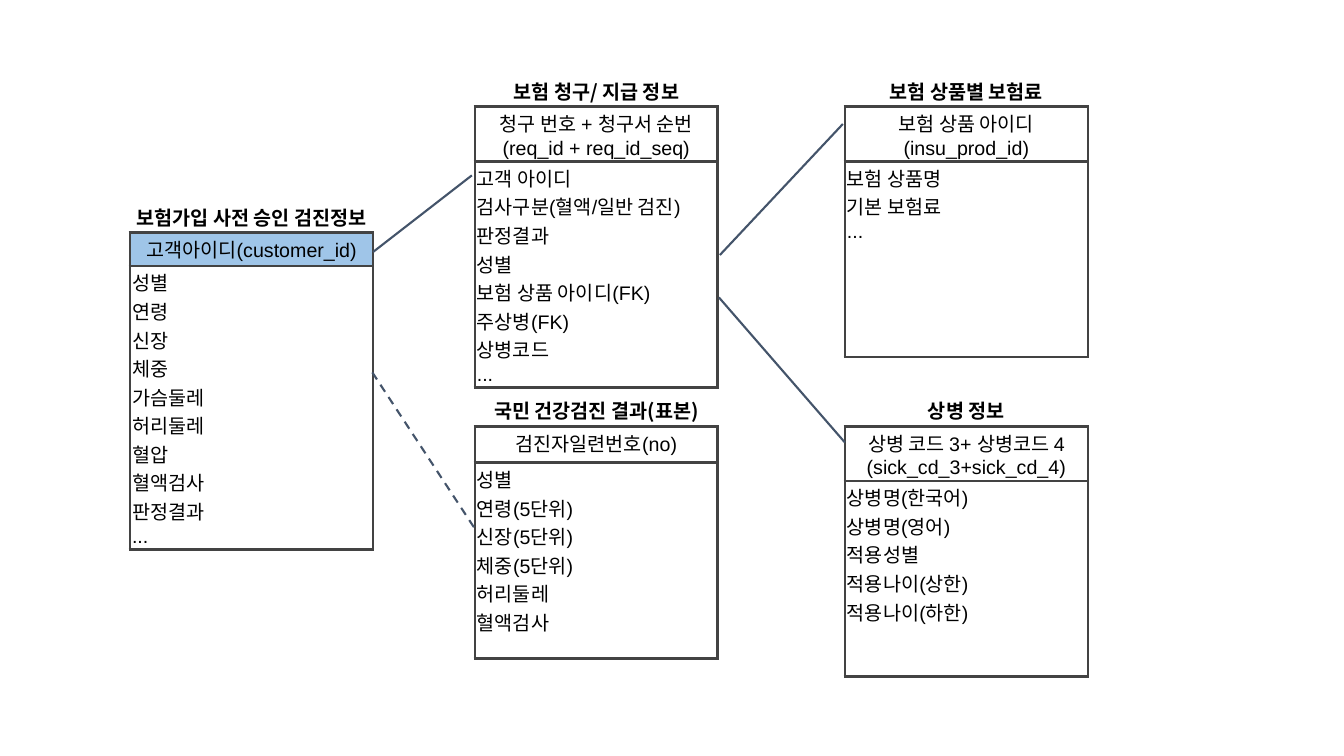
from lxml.etree import SubElement
from pptx import Presentation
from pptx.dml.color import RGBColor
from pptx.enum.dml import MSO_LINE
from pptx.enum.shapes import MSO_CONNECTOR
from pptx.enum.text import MSO_ANCHOR, PP_ALIGN
from pptx.oxml.ns import qn
from pptx.util import Inches, Pt

BLACK = RGBColor(0x00, 0x00, 0x00)
BORDER = RGBColor(0x43, 0x43, 0x43)
KEY_BLUE = RGBColor(0x9F, 0xC5, 0xE8)
LINK = RGBColor(0x44, 0x54, 0x6A)
KOREAN = "Noto Sans CJK KR"
ENTITY_WIDTH = 2.41
TITLE_HEIGHT = 0.48
FIELDS_HEIGHT = 1.94


def set_borders(cell, visible):
    properties = cell._tc.get_or_add_tcPr()
    for side in "LRTB":
        line = SubElement(properties, qn(f"a:ln{side}"), w=str(Pt(2.25)))
        if side in visible:
            fill = SubElement(line, qn("a:solidFill"))
            SubElement(fill, qn("a:srgbClr"), val=str(BORDER))
        else:
            SubElement(line, qn("a:noFill"))


def write_cell(cell, lines, latin, bold, align):
    cell.margin_left = cell.margin_right = Inches(0.02)
    cell.margin_top = cell.margin_bottom = Inches(0.02)
    frame = cell.text_frame
    for index, text in enumerate(lines):
        para = frame.add_paragraph() if index else frame.paragraphs[0]
        para.alignment = align
        span = para.add_run()
        span.text = text
        span.font.size = Pt(14)
        span.font.bold = bold
        span.font.color.rgb = BLACK
        span.font.name = latin
        SubElement(span.font._element, qn("a:ea"), typeface=KOREAN)


deck = Presentation()
deck.slide_width = Inches(13.33)
deck.slide_height = Inches(7.5)
page = deck.slides.add_slide(deck.slide_layouts[6])

entities = [
    (1.29, 1.83, 0.33, "보험가입 사전 승인 검진정보", ["고객아이디(customer_id)"],
     ["성별", "연령", "신장", "체중", "가슴둘레", "허리둘레", "혈압", "혈액검사",
      "판정결과", "..."], KEY_BLUE),
    (4.71, 0.58, 0.48, "보험 청구/ 지급 정보",
     ["청구 번호 + 청구서 순번", "(req_id + req_id_seq)"],
     ["고객 아이디", "검사구분(혈액/일반 검진)", "판정결과", "성별",
      "보험 상품 아이디(FK)", "주상병(FK)", "상병코드", "..."], None),
    (4.71, 3.75, 0.36, "국민 건강검진 결과(표본)", ["검진자일련번호(no)"],
     ["성별", "연령(5단위)", "신장(5단위)", "체중(5단위)", "허리둘레", "혈액검사"], None),
    (8.38, 0.58, 0.48, "보험 상품별 보험료", ["보험 상품 아이디", "(insu_prod_id)"],
     ["보험 상품명", "기본 보험료", "..."], None),
    (8.38, 3.75, 0.48, "상병 정보",
     ["상병 코드 3+ 상병코드 4", "(sick_cd_3+sick_cd_4)"],
     ["상병명(한국어)", "상병명(영어)", "적용성별", "적용나이(상한)", "적용나이(하한)"], None),
]

for left, top, key_height, title, key, fields, key_fill in entities:
    heights = [TITLE_HEIGHT, key_height, FIELDS_HEIGHT]
    table = page.shapes.add_table(
        3, 1, Inches(left), Inches(top), Inches(ENTITY_WIDTH), Inches(sum(heights))
    ).table
    table.first_row = False
    table.horz_banding = False
    for row, height in zip(table.rows, heights):
        row.height = Inches(height)

    title_cell, key_cell, fields_cell = [table.cell(index, 0) for index in range(3)]
    write_cell(title_cell, [title], KOREAN, True, PP_ALIGN.CENTER)
    write_cell(key_cell, key, "Arial", False, PP_ALIGN.CENTER)
    write_cell(fields_cell, fields, "Arial", False, PP_ALIGN.LEFT)
    title_cell.vertical_anchor = MSO_ANCHOR.BOTTOM

    for cell, visible in [(title_cell, "B"), (key_cell, "LRTB"), (fields_cell, "LRTB")]:
        set_borders(cell, visible)
        cell.fill.background()
    if key_fill:
        key_cell.fill.solid()
        key_cell.fill.fore_color.rgb = key_fill

links = [
    (3.7, 2.5, 4.68, 1.74, False),
    (4.7, 5.23, 3.69, 3.69, True),
    (7.14, 2.53, 8.36, 1.23, False),
    (7.13, 2.95, 8.38, 4.39, False),
]
for start_x, start_y, end_x, end_y, dashed in links:
    link = page.shapes.add_connector(
        MSO_CONNECTOR.STRAIGHT,
        Inches(start_x), Inches(start_y), Inches(end_x), Inches(end_y),
    )
    link.line.color.rgb = LINK
    link.line.width = Pt(1.5)
    if dashed:
        link.line.dash_style = MSO_LINE.DASH
    SubElement(link._element.spPr, qn("a:effectLst"))

deck.save("out.pptx")
